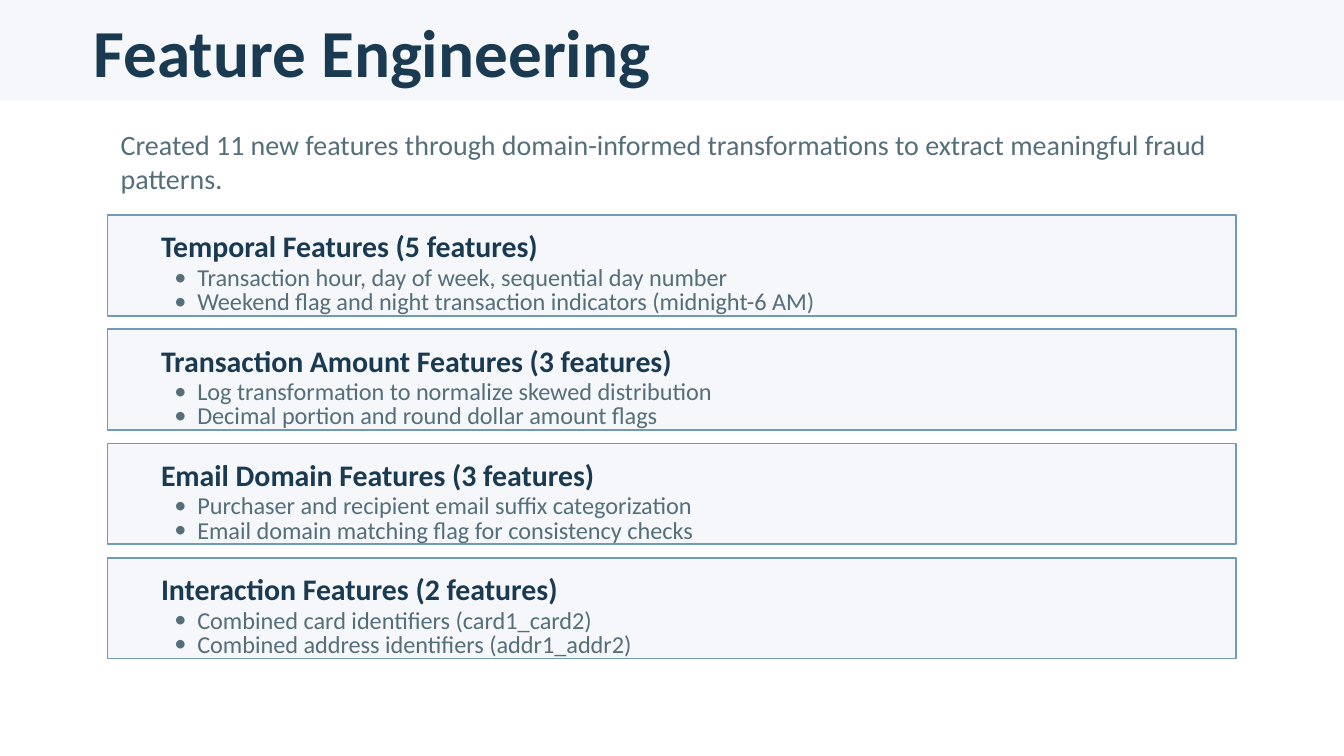
from pptx import Presentation
from pptx.dml.color import RGBColor as RGB
from pptx.enum.shapes import MSO_SHAPE as Shape
from pptx.enum.text import MSO_ANCHOR as Anchor
from pptx.oxml.ns import qn
from pptx.util import Inches, Pt
from lxml.etree import SubElement

COLORS = {"navy": "1A3A52", "slate": "546E7A", "panel": "F5F7FA", "edge": "6D9BB8"}
FONT = "Calibri"
WIDTH = 10
HEIGHT = WIDTH * 9 / 16
UNIT = 0.1
CARD_TOP, CARD_HEIGHT, CARD_STEP = 16, 7.5, 8.5
BULLET_TOP, BULLET_STEP = 3.8, 1.8

CARDS = [
    ("Temporal Features (5 features)",
     ["Transaction hour, day of week, sequential day number",
      "Weekend flag and night transaction indicators (midnight-6 AM)"]),
    ("Transaction Amount Features (3 features)",
     ["Log transformation to normalize skewed distribution",
      "Decimal portion and round dollar amount flags"]),
    ("Email Domain Features (3 features)",
     ["Purchaser and recipient email suffix categorization",
      "Email domain matching flag for consistency checks"]),
    ("Interaction Features (2 features)",
     ["Combined card identifiers (card1_card2)",
      "Combined address identifiers (addr1_addr2)"]),
]


def write(tf, text, size, color, bold=False, bullet=False):
    p = tf.paragraphs[0]
    if bullet:
        pPr = p._p.get_or_add_pPr()
        indent = Inches(0.17)
        pPr.set("marL", str(indent))
        pPr.set("indent", str(-indent))
        SubElement(pPr, qn("a:buFont")).set("typeface", FONT)
        SubElement(pPr, qn("a:buChar")).set("char", "•")
    r = p.add_run()
    r.text = text
    r.font.name = FONT
    r.font.size = Pt(size)
    r.font.bold = bold
    r.font.color.rgb = RGB.from_string(COLORS[color])


class Deck:
    def __init__(self, width, height):
        self.prs = Presentation()
        self.prs.slide_width, self.prs.slide_height = Inches(width), Inches(height)
        self.s = self.prs.slides.add_slide(self.prs.slide_layouts[6])

    def grid(self, *cells):
        return [Inches(cell * UNIT) for cell in cells]

    def panel(self, col, row, cols, rows, line=None):
        sp = self.s.shapes.add_shape(Shape.RECTANGLE, *self.grid(col, row, cols, rows))
        sp.shadow.inherit = False
        sp.fill.solid()
        sp.fill.fore_color.rgb = RGB.from_string(COLORS["panel"])
        if line:
            sp.line.color.rgb = RGB.from_string(COLORS[line])
            sp.line.width = Pt(1)
        else:
            sp.line.fill.background()

    def text(self, col, row, cols, rows, text, **style):
        tf = self.s.shapes.add_textbox(*self.grid(col, row, cols, rows)).text_frame
        tf.word_wrap = True
        tf.vertical_anchor = Anchor.MIDDLE
        write(tf, text, **style)

    def card(self, row, title, bullets):
        self.panel(8, row, 84, CARD_HEIGHT, line="edge")
        self.text(11, row + 1.2, 80, 2.2, title, size=16, color="navy", bold=True)
        for i, bullet in enumerate(bullets):
            self.text(12, row + BULLET_TOP + i * BULLET_STEP, 78, 1.6, bullet,
                      size=13, color="slate", bullet=True)


def main():
    deck = Deck(WIDTH, HEIGHT)
    deck.panel(0, 0, 100, 7.5)
    deck.text(6, 2, 88, 3.5, "Feature Engineering", size=36, color="navy", bold=True)
    deck.text(8, 10, 84, 4,
              "Created 11 new features through domain-informed transformations "
              "to extract meaningful fraud patterns.", size=15, color="slate")
    for i, (title, bullets) in enumerate(CARDS):
        deck.card(CARD_TOP + i * CARD_STEP, title, bullets)
    deck.prs.save("out.pptx")


if __name__ == "__main__":
    main()
